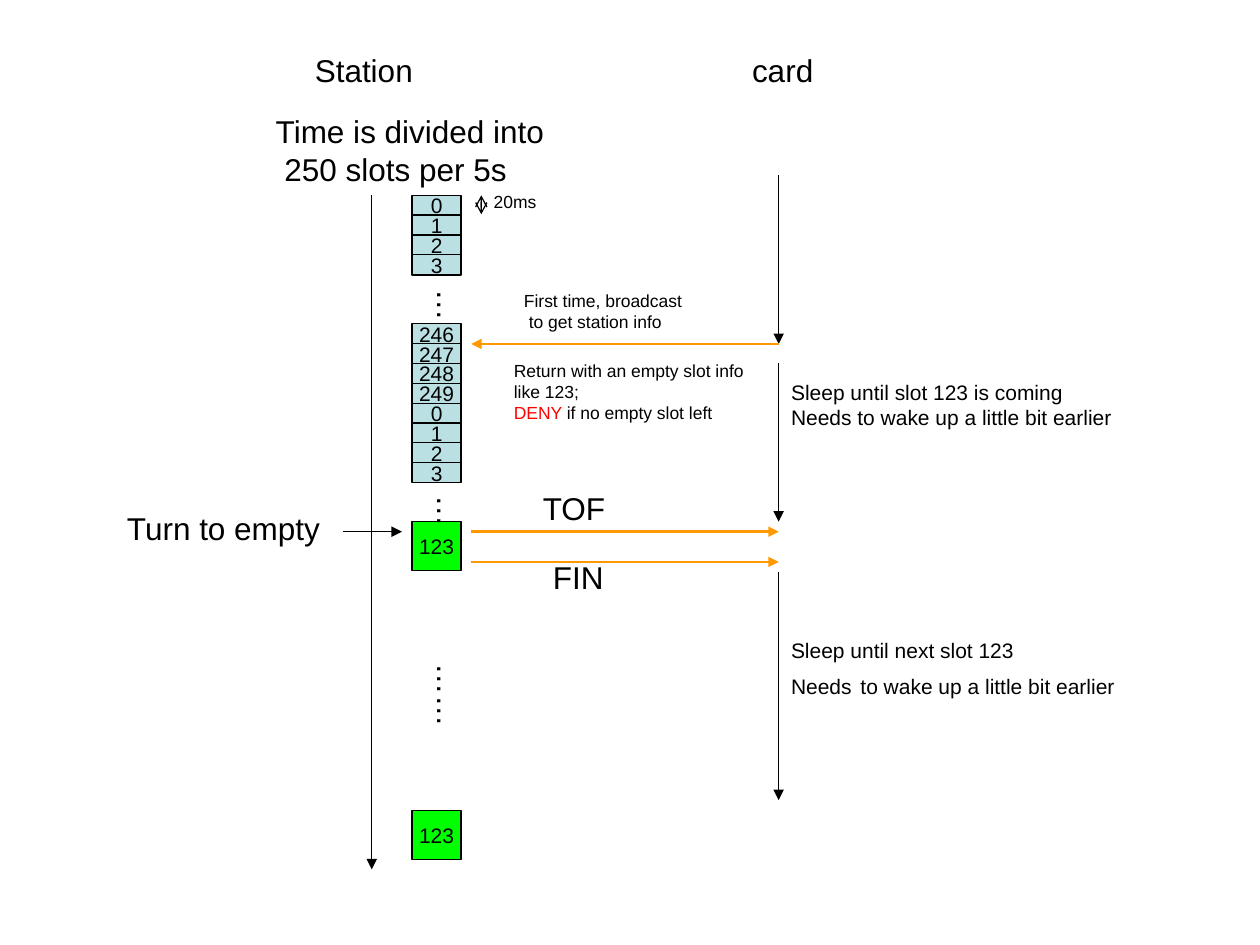
from pptx import Presentation
from pptx.dml.color import RGBColor
from pptx.enum.shapes import MSO_CONNECTOR as Connector, MSO_SHAPE as Shape
from pptx.enum.text import MSO_ANCHOR as Anchor, MSO_AUTO_SIZE as AutoSize, PP_ALIGN as Align
from pptx.oxml.ns import qn
from pptx.util import Inches, Pt
from lxml.etree import SubElement

COLORS = {
    "ink": "000000",
    "slot": "BBE0E3",
    "assigned": "00FF00",
    "message": "FF9900",
    "deny": "FF0000",
}
STATION_X, SLOT_X, CARD_X = 2.95, 3.27, 6.18
MESSAGE_X = 3.74
SLOT_WIDTH, SLOT_HEIGHT = 0.39, 0.16
SLOT_PITCH = 0.63 / 4


class TimingSlide:
    """Holds the style and the slide, and draws each kind of element."""

    def __init__(self, slide, font="Arial"):
        self.slide = slide
        self.font = font

    def color(self, name):
        return RGBColor.from_string(COLORS[name])

    def add_run(self, paragraph, text, size, color="ink"):
        run = paragraph.add_run()
        run.text = text
        run.font.name = self.font
        run.font.size = Pt(size)
        run.font.color.rgb = self.color(color)

    def label(self, left, top, width, height, paragraphs, size=18, vertical=False):
        box = self.slide.shapes.add_textbox(*map(Inches, (left, top, width, height)))
        frame = box.text_frame
        frame.word_wrap = False
        frame.auto_size = AutoSize.SHAPE_TO_FIT_TEXT
        if vertical:
            frame.margin_left = frame.margin_right = Inches(0.05)
            frame.margin_top = frame.margin_bottom = Inches(0.1)
            box.element.txBody.bodyPr.set("vert", "eaVert")
        for index, runs in enumerate(paragraphs):
            paragraph = frame.add_paragraph() if index else frame.paragraphs[0]
            for text, *style in runs:
                if text == "\n":
                    paragraph.add_line_break()
                else:
                    self.add_run(paragraph, text, *(style or [size]))

    def slot(self, top, number, fill="slot", height=SLOT_HEIGHT):
        cell = self.slide.shapes.add_shape(
            Shape.RECTANGLE, *map(Inches, (SLOT_X, top, SLOT_WIDTH, height)))
        cell.shadow.inherit = False
        cell.fill.solid()
        cell.fill.fore_color.rgb = self.color(fill)
        cell.line.color.rgb = self.color("ink")
        cell.line.width = Pt(0.75)
        frame = cell.text_frame
        frame.word_wrap = False
        frame.vertical_anchor = Anchor.MIDDLE
        frame.paragraphs[0].alignment = Align.CENTER
        self.add_run(frame.paragraphs[0], number, 12)

    def arrow(self, start, end, color="ink", width=0.75, head=None, tail="triangle"):
        line = self.slide.shapes.add_connector(
            Connector.STRAIGHT, *map(Inches, (*start, *end)))
        line.line.color.rgb = self.color(color)
        line.line.width = Pt(width)
        outline = line.line._get_or_add_ln()
        for tag, kind in (("a:headEnd", head), ("a:tailEnd", tail)):
            if kind:
                SubElement(outline, qn(tag), type=kind)
        SubElement(line.element.spPr, qn("a:effectLst"))

    def message(self, start_x, end_x, y):
        self.arrow((start_x, y), (end_x, y), "message", 1.5)


def main():
    deck = Presentation()
    deck.slide_width, deck.slide_height = Inches(10), Inches(7.5)
    timing = TimingSlide(deck.slides.add_slide(deck.slide_layouts[6]))

    timing.arrow((STATION_X, 1.55), (STATION_X, 6.9))
    for top, bottom in ((1.39, 2.73), (2.88, 4.14), (4.54, 6.35)):
        timing.arrow((CARD_X, top), (CARD_X, bottom))

    slot_groups = (
        (1.55, ("0", "1", "2", "3")),
        (2.57, ("246", "247", "248", "249", "0", "1", "2", "3")),
    )
    for top, numbers in slot_groups:
        for index, number in enumerate(numbers):
            timing.slot(top + index * SLOT_PITCH, number)
    for top in (4.14, 6.43):
        timing.slot(top, "123", "assigned", SLOT_WIDTH)
    for top, height, dots in ((2.2, 0.35, "…"), (3.83, 0.35, "…"), (5.17, 0.6, "……")):
        timing.label(SLOT_X, top, 0.5, height, [[(dots,)]], vertical=True)

    timing.arrow((3.82, 1.55), (3.82, 1.7), head="arrow", tail="arrow")
    timing.arrow((2.72, 4.22), (3.19, 4.22))
    timing.message(CARD_X, MESSAGE_X, 2.73)
    for y in (4.22, 4.46):
        timing.message(MESSAGE_X, CARD_X, y)

    headings = (
        (2.4, 0.36, 0.98, "Station"),
        (5.87, 0.36, 0.69, "card"),
        (0.91, 3.99, 1.74, "Turn to empty"),
        (4.21, 3.83, 0.7, "TOF"),
        (4.29, 4.38, 0.6, "FIN"),
    )
    for left, top, width, text in headings:
        timing.label(left, top, width, 0.4, [[(text,)]])

    timing.label(2.09, 0.84, 2.34, 0.7,
                 [[("Time is divided into",), ("\n",), (" 250 slots per 5s",)]])
    timing.label(3.82, 1.47, 0.54, 0.27, [[("20ms",)]], 10)
    timing.label(4.06, 2.25, 1.45, 0.44,
                 [[("First time, broadcast",), ("\n",), (" to get station info",)]], 10)
    timing.label(3.98, 2.81, 2.02, 0.6, [
        [("Return with an empty slot info",)],
        [("like 123;",)],
        [("DENY ", 10, "deny"), ("if no empty slot left",)],
    ], 10)
    timing.label(CARD_X, 2.96, 2.75, 0.5, [
        [("Sleep until slot 123 is coming",)],
        [("Needs to wake up a little bit earlier",)],
    ], 12)
    timing.label(CARD_X, 5.01, 2.77, 0.6, [
        [("Sleep until next slot 123",)],
        [("Needs",), (" ", 18), ("to wake up a little bit earlier",)],
    ], 12)

    deck.save("out.pptx")


if __name__ == "__main__":
    main()
